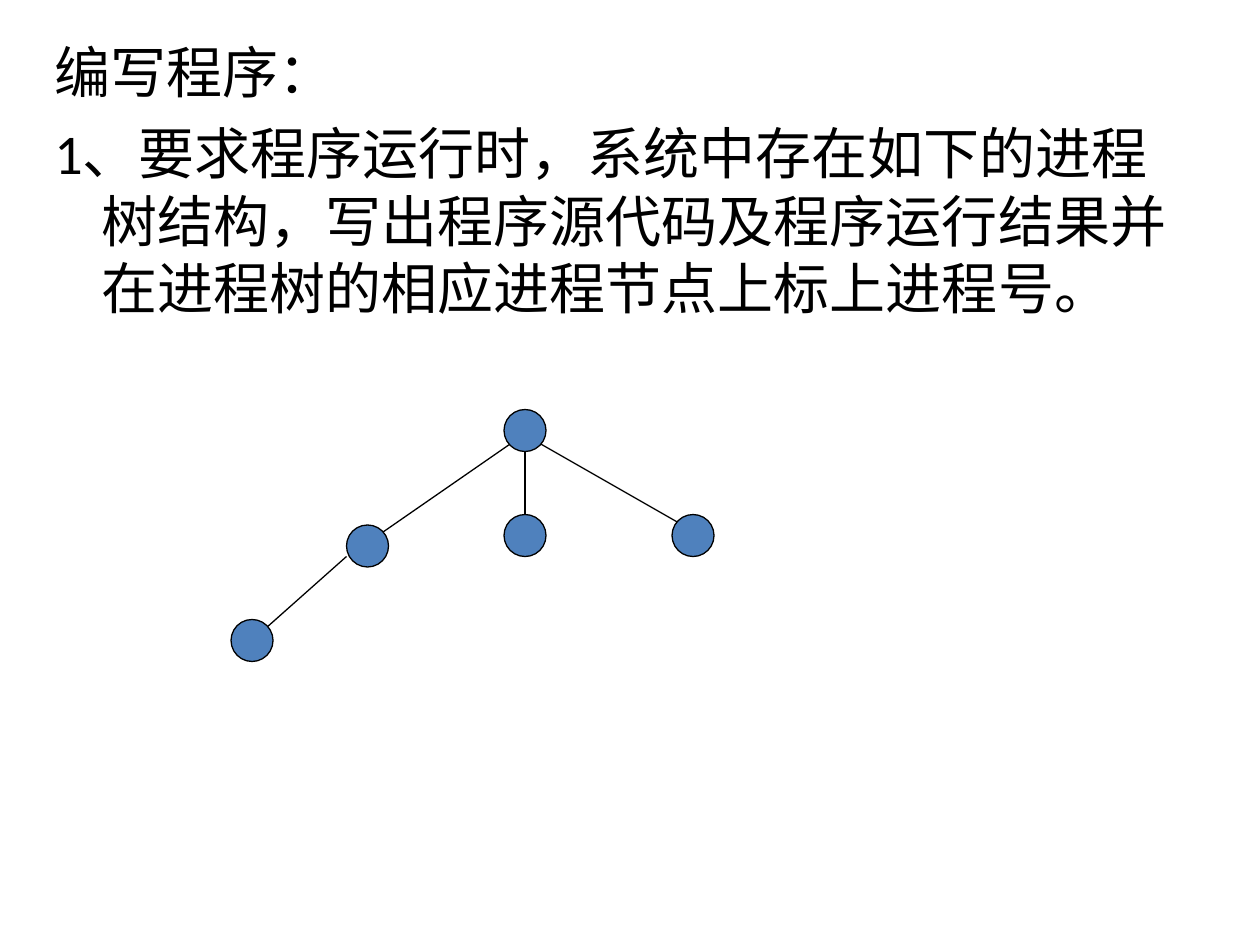
from pptx import Presentation
from pptx.dml.color import RGBColor
from pptx.enum.shapes import MSO_CONNECTOR as Connector, MSO_SHAPE as Shape
from pptx.oxml.ns import qn
from pptx.util import Pt
from lxml.etree import SubElement

BLACK = RGBColor(0x00, 0x00, 0x00)
BLUE = RGBColor(0x4F, 0x81, 0xBD)

PARAGRAPHS = [
    "编写程序：",
    "1、要求程序运行时，系统中存在如下的进程树结构，写出程序源代码及程序运行结果并在进程树的相应进程节点上标上进程号。",
]
TEXT_AREA = (24, 18, 660, 465)
FONT = {"name": "Calibri", "size": Pt(32)}
HANGING = 27
SPACE_BEFORE = 8

DIAMETER = 24
NODE_CENTRES = {
    "root": (300, 246),
    "left": (210, 312),
    "middle": (300, 306),
    "right": (396, 306),
    "grandchild": (144, 366),
}
# Each branch: parent, offset from its centre, child, offset from its centre
BRANCHES = [
    ("left", (-12, 6), "grandchild", (0, 0)),
    ("root", (-6, 6), "left", (6, -6)),
    ("root", (0, 12), "middle", (0, -12)),
    ("root", (6, 6), "right", (-6, -6)),
]


def style_line(line):
    line.color.rgb = BLACK
    line.width = Pt(0.75)


def add_text(page):
    box = page.shapes.add_textbox(*map(Pt, TEXT_AREA))
    frame = box.text_frame
    frame.word_wrap = True
    for index, text in enumerate(PARAGRAPHS):
        para = frame.add_paragraph() if index else frame.paragraphs[0]
        para.space_before = Pt(SPACE_BEFORE if index else 0)
        properties = para._p.get_or_add_pPr()
        properties.set("marL", str(Pt(HANGING)))
        properties.set("indent", str(Pt(-HANGING)))
        span = para.add_run()
        span.text = text
        for name, value in FONT.items():
            setattr(span.font, name, value)
        span.font.color.rgb = BLACK


def shifted(node, offset):
    return [Pt(centre + shift) for centre, shift in zip(NODE_CENTRES[node], offset)]


def add_tree(page):
    tree = page.shapes.add_group_shape()
    for parent, start, child, end in BRANCHES:
        branch = tree.shapes.add_connector(
            Connector.STRAIGHT, *shifted(parent, start), *shifted(child, end))
        style_line(branch.line)
        SubElement(branch._element.spPr, qn("a:effectLst"))
    radius = DIAMETER / 2
    for node in NODE_CENTRES:
        circle = tree.shapes.add_shape(
            Shape.OVAL, *shifted(node, (-radius, -radius)), Pt(DIAMETER), Pt(DIAMETER))
        circle.shadow.inherit = False
        circle.fill.solid()
        circle.fill.fore_color.rgb = BLUE
        style_line(circle.line)


def main():
    deck = Presentation()
    deck.slide_width, deck.slide_height = Pt(720), Pt(540)
    page = deck.slides.add_slide(deck.slide_layouts[6])
    add_text(page)
    add_tree(page)
    deck.save("out.pptx")


if __name__ == "__main__":
    main()
